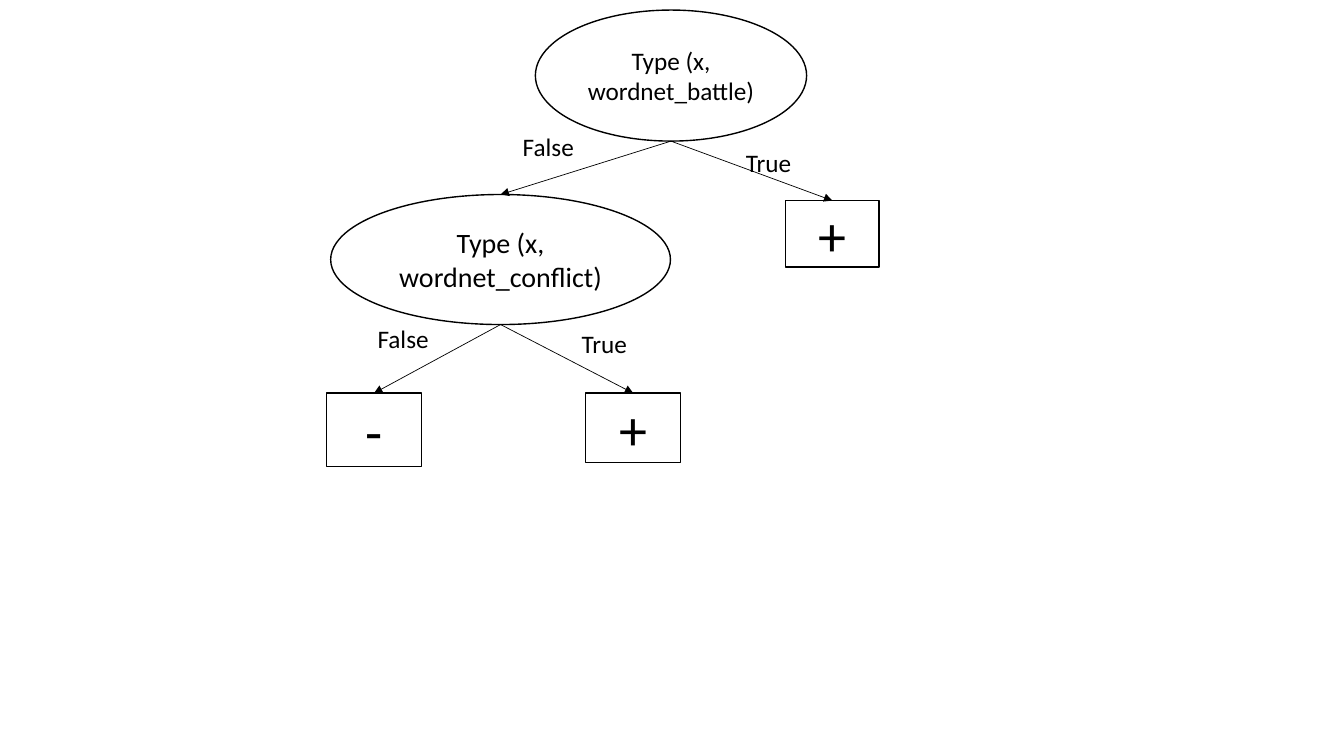
"""Build a slide with a small decision tree."""
from dataclasses import dataclass

from lxml import etree
from pptx import Presentation
from pptx import util as u
from pptx.dml.color import RGBColor
from pptx.enum import shapes, text
from pptx.oxml.ns import qn


@dataclass(frozen=True)
class Theme:
    """Colours, font and sizes of the tree."""
    ink: RGBColor = RGBColor(0, 0, 0)
    paper: RGBColor = RGBColor(255, 255, 255)
    font: str = "Calibri"
    label: int = 18
    question: int = 20
    sign: int = 40
    outline: float = 1
    arrow: float = 0.5


THEME = Theme()
OVAL = shapes.MSO_SHAPE.OVAL
RECTANGLE = shapes.MSO_SHAPE.RECTANGLE


def write(shape, words, size=THEME.label, align=text.PP_ALIGN.CENTER, anchor=text.MSO_ANCHOR.MIDDLE):
    """Put formatted words into a shape."""
    frame = shape.text_frame
    frame.word_wrap = True
    frame.vertical_anchor = anchor
    para = frame.paragraphs[0]
    para.alignment = align
    span = para.add_run()
    span.text = words
    span.font.name = THEME.font
    span.font.size = u.Pt(size)
    span.font.color.rgb = THEME.ink


def add_node(page, kind, box, words, size):
    """Add an outlined node that fills the box."""
    node = page.shapes.add_shape(kind, *map(u.Inches, box))
    node.shadow.inherit = False
    node.fill.solid()
    node.fill.fore_color.rgb = THEME.paper
    node.line.color.rgb = THEME.ink
    node.line.width = u.Pt(THEME.outline)
    write(node, words, size=size)
    return node


def add_label(page, box, words, align):
    """Add a branch label in the box."""
    label = page.shapes.add_textbox(*map(u.Inches, box))
    write(label, words, align=align, anchor=text.MSO_ANCHOR.TOP)
    label.text_frame.auto_size = text.MSO_AUTO_SIZE.SHAPE_TO_FIT_TEXT


def add_arrow(page, parent, child):
    """Draw an arrow from the parent's bottom to the child's top."""
    start = parent.left + parent.width // 2, parent.top + parent.height
    arrow = page.shapes.add_connector(shapes.MSO_CONNECTOR.STRAIGHT, *start, *start)
    arrow.end_connect(child, 0)
    arrow.line.color.rgb = THEME.ink
    arrow.line.width = u.Pt(THEME.arrow)
    etree.SubElement(arrow.line._get_or_add_ln(), qn("a:tailEnd"), type="triangle")
    etree.SubElement(arrow._element.spPr, qn("a:effectLst"))


def add_branches(page, parent, no_child, yes_child, no_at, yes_at):
    """Join a question to its two answers and label both arrows."""
    for child in (no_child, yes_child):
        add_arrow(page, parent, child)
    add_label(page, (*no_at, 1.28, 0.4), "False", text.PP_ALIGN.RIGHT)
    add_label(page, (*yes_at, 0.99, 0.4), "True", text.PP_ALIGN.LEFT)


def add_tree(page, left, top):
    """Draw the whole tree from its top left corner."""
    def place(x, y, *size):
        return (left + x, top + y, *size)

    battle = add_node(page, OVAL, place(2.07, 0, 2.69, 1.3), "Type (x, wordnet_battle)", THEME.label)
    conflict = add_node(page, OVAL, place(0.04, 1.83, 3.37, 1.29), "Type (x, wordnet_conflict)", THEME.question)
    answers = [
        add_node(page, RECTANGLE, place(*box), sign, THEME.sign)
        for box, sign in (
            ((4.55, 1.89, 0.93, 0.66), "+"),
            ((2.57, 3.8, 0.94, 0.69), "+"),
            ((0, 3.8, 0.94, 0.73), "-"),
        )
    ]
    battle_yes, conflict_yes, conflict_no = answers
    add_branches(page, battle, conflict, battle_yes, place(1.27, 1.15), place(4.06, 1.31))
    add_branches(page, conflict, conflict_no, conflict_yes, place(-0.17, 3.06), place(2.43, 3.11))


def main():
    """Create and save the deck."""
    deck = Presentation()
    deck.slide_width, deck.slide_height = u.Inches(13.33), u.Inches(7.5)
    page = deck.slides.add_slide(deck.slide_layouts.get_by_name("Blank"))
    add_tree(page, 3.24, 0.1)
    deck.save("out.pptx")


if __name__ == "__main__":
    main()
